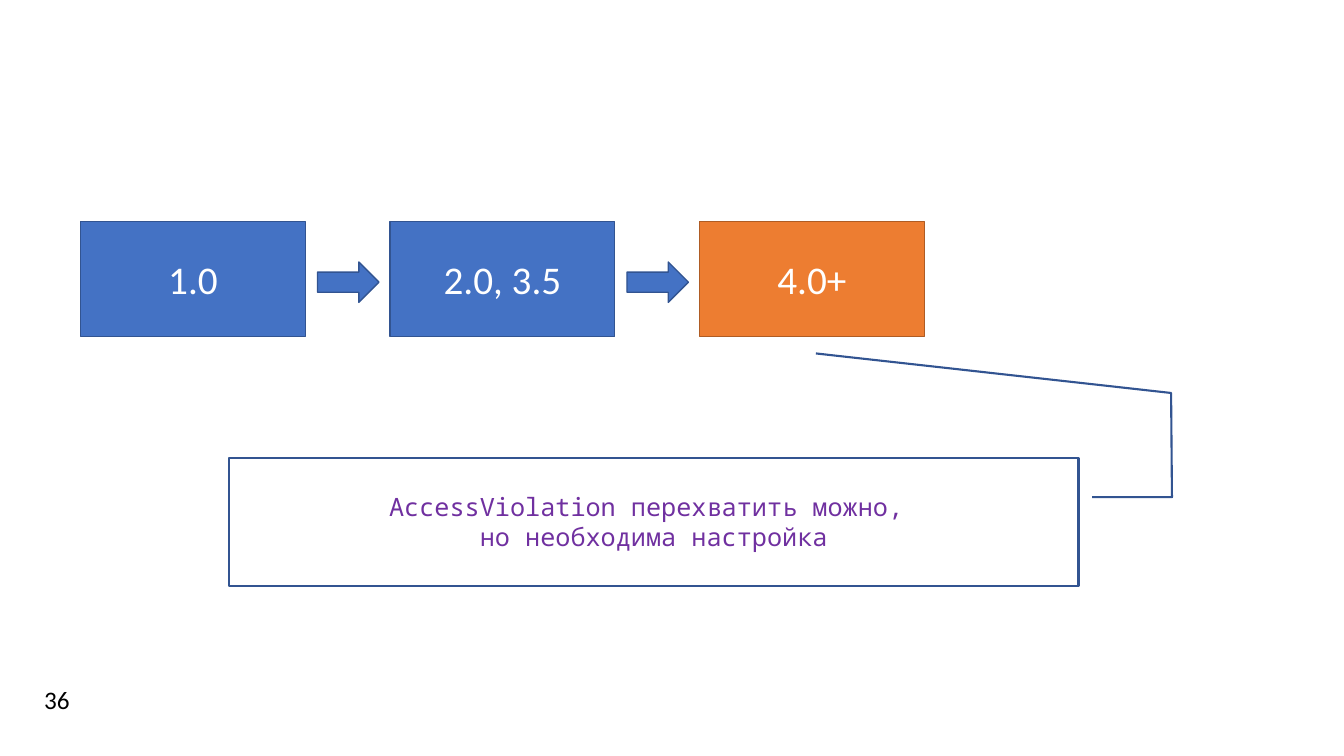
"""Builds a slide on runtime versions and intercepting AccessViolation."""
from dataclasses import dataclass

from pptx import Presentation
from pptx.dml.color import RGBColor
from pptx.enum.shapes import MSO_SHAPE
from pptx.enum.text import MSO_ANCHOR, PP_ALIGN
from pptx.shapes.autoshape import Shape
from pptx.slide import Slide
from pptx.util import Pt

RECTANGLE = MSO_SHAPE.RECTANGLE
RIGHT_ARROW = MSO_SHAPE.RIGHT_ARROW
CALLOUT = MSO_SHAPE.LINE_CALLOUT_3
CENTER, LEFT = PP_ALIGN.CENTER, PP_ALIGN.LEFT
MIDDLE, TOP = MSO_ANCHOR.MIDDLE, MSO_ANCHOR.TOP

BLUE, DARK_BLUE = "4472C4", "325491"
ORANGE, DARK_ORANGE = "ED7D31", "AF5C24"
WHITE, BLACK, PURPLE = "FFFFFF", "000000", "7030A0"

VERSION_LEFT, VERSION_STEP = 57.6, 221.04
ARROW_OFFSET = 169.2
CALLOUT_POINTS = (0.309, 1.016, 0.309, 1.11, -0.505, 1.109, -0.814, 0.691)


@dataclass(frozen=True)
class Box:
    left: float
    top: float
    width: float
    height: float


@dataclass(frozen=True)
class Version:
    label: str
    fill: str
    line: str


VERSIONS = (
    Version("1.0", BLUE, DARK_BLUE),
    Version("2.0, 3.5", BLUE, DARK_BLUE),
    Version("4.0+", ORANGE, DARK_ORANGE),
)


def color(value: str) -> RGBColor:
    return RGBColor.from_string(value)


def write(shape: Shape, text: str, *, size: float, ink: str, font: str = "Calibri",
          align: PP_ALIGN = CENTER, anchor: MSO_ANCHOR = MIDDLE,
          wrap: bool = True) -> None:
    frame = shape.text_frame
    frame.word_wrap = wrap
    frame.vertical_anchor = anchor
    frame.text = text
    for paragraph in frame.paragraphs:
        paragraph.alignment = align
        for run in paragraph.runs:
            run.font.size = Pt(size)
            run.font.name = font
            run.font.color.rgb = color(ink)


def draw(slide: Slide, kind: MSO_SHAPE, box: Box, *, line: str,
         fill: str | None = None, weight: float = 1) -> Shape:
    shape = slide.shapes.add_shape(
        kind, Pt(box.left), Pt(box.top), Pt(box.width), Pt(box.height))
    shape.shadow.inherit = False
    if fill is None:
        shape.fill.background()
    else:
        shape.fill.solid()
        shape.fill.fore_color.rgb = color(fill)
    shape.line.color.rgb = color(line)
    shape.line.width = Pt(weight)
    return shape


def draw_versions(slide: Slide) -> None:
    for index, version in enumerate(VERSIONS):
        left = VERSION_LEFT + index * VERSION_STEP
        block = draw(slide, RECTANGLE, Box(left, 158.4, 160.56, 82.08),
                     fill=version.fill, line=version.line)
        write(block, version.label, size=28, ink=WHITE)
        if index < len(VERSIONS) - 1:
            draw(slide, RIGHT_ARROW, Box(left + ARROW_OFFSET, 187.2, 43.92, 28.8),
                 fill=BLUE, line=DARK_BLUE)


def draw_remark(slide: Slide) -> None:
    remark = draw(slide, CALLOUT, Box(163.44, 326.88, 606.96, 91.44),
                  line=DARK_BLUE, weight=1.5)
    for index, point in enumerate(CALLOUT_POINTS):
        remark.adjustments[index] = point
    write(remark, "AccessViolation перехватить можно, \nно необходима настройка",
          size=18, ink=PURPLE, font="Noto Sans Mono")


def main() -> None:
    deck = Presentation()
    deck.slide_width, deck.slide_height = Pt(960), Pt(540)
    slide = deck.slides.add_slide(deck.slide_layouts[6])
    page_number = slide.shapes.add_textbox(Pt(24.48), Pt(485.28), Pt(33.12), Pt(28.8))
    write(page_number, "36", size=18, ink=BLACK, align=LEFT, anchor=TOP, wrap=False)
    draw_versions(slide)
    draw_remark(slide)
    deck.save("out.pptx")


if __name__ == "__main__":
    main()
